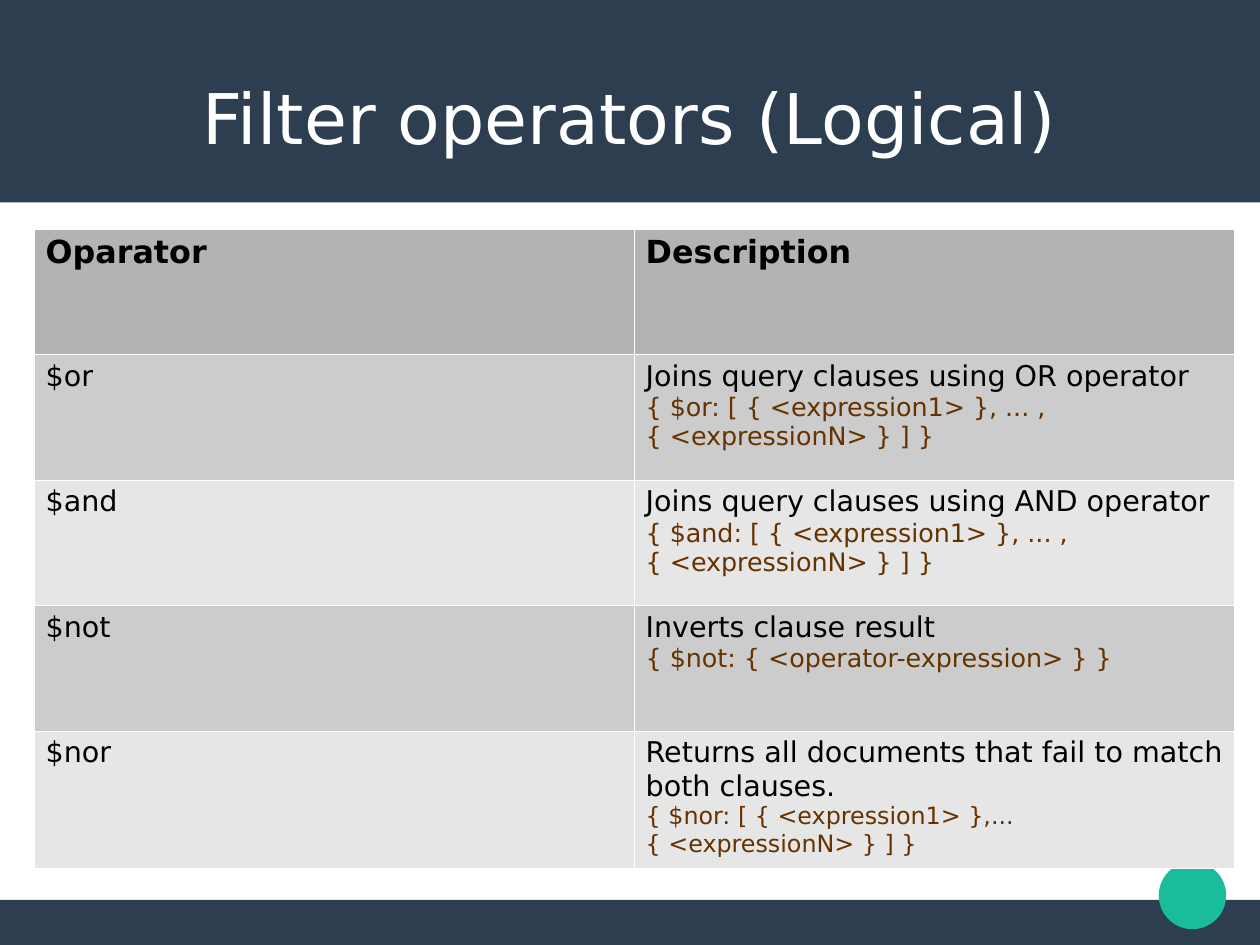
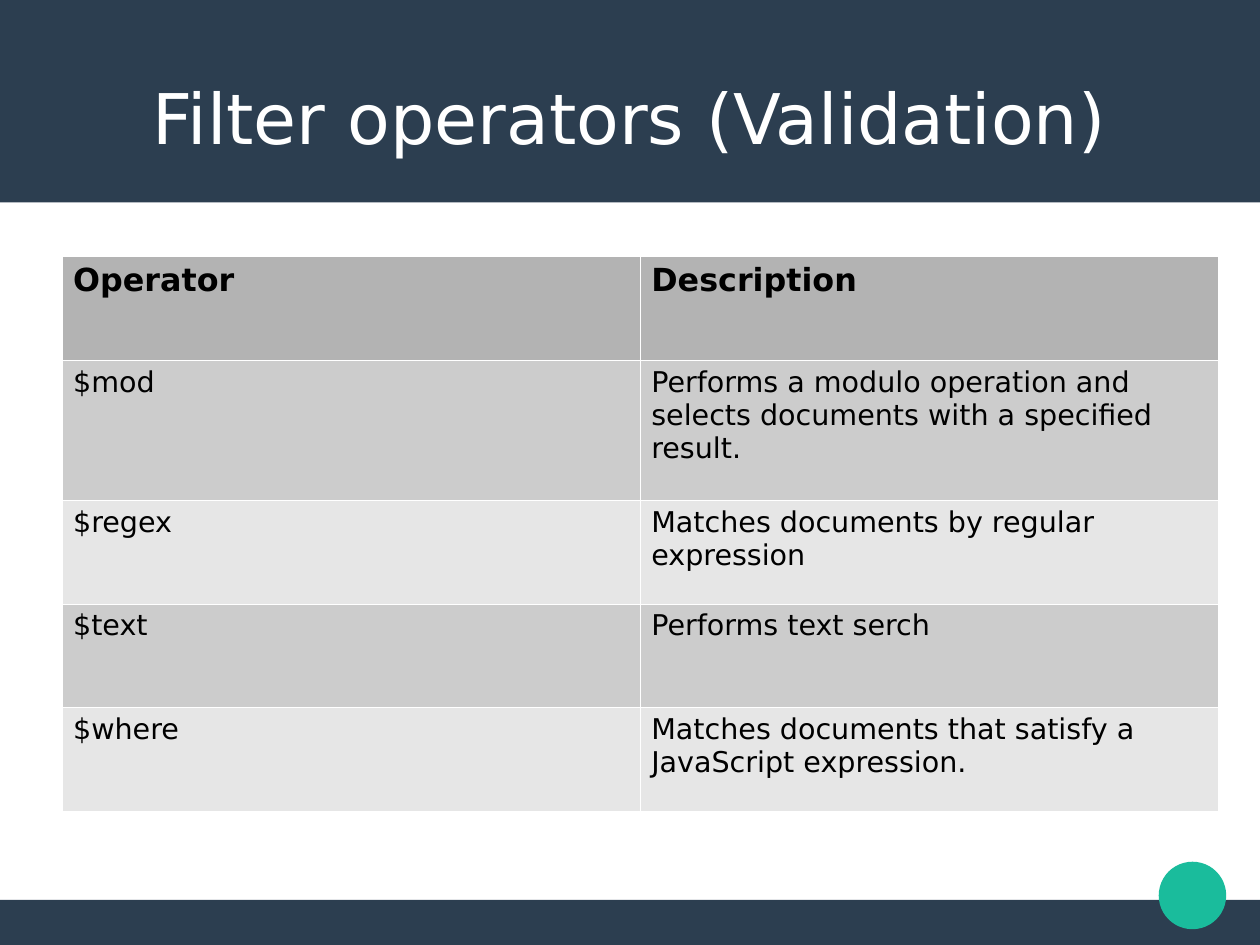
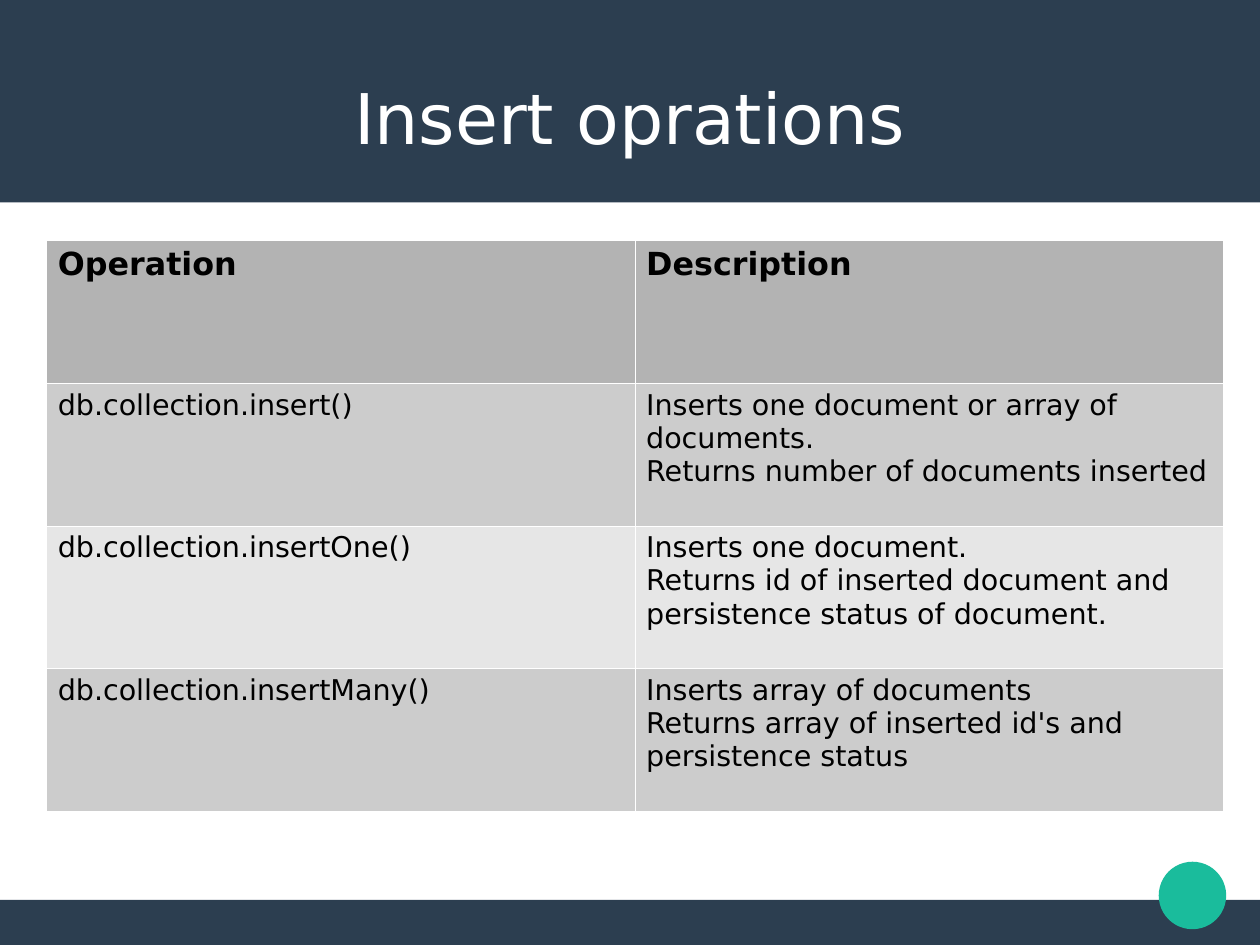
from lxml import etree
from pptx import Presentation
from pptx.dml.color import RGBColor
from pptx.enum.shapes import MSO_SHAPE
from pptx.enum.text import MSO_ANCHOR, PP_ALIGN
from pptx.oxml.ns import qn
from pptx.util import Cm, Pt

RECT, OVAL = MSO_SHAPE.RECTANGLE, MSO_SHAPE.OVAL
MIDDLE, CENTER = MSO_ANCHOR.MIDDLE, PP_ALIGN.CENTER

FONT = "DejaVu Sans"
NAVY, TEAL, WHITE, BLACK, BROWN = "2C3E50", "1ABC9C", "FFFFFF", "000000", "663300"
HEAD_FILL, ROW_FILLS = "B3B3B3", ("CCCCCC", "E6E6E6")
BORDER_WIDTH = Pt(0.06)

# Text styles: size, bold, colour
TITLE = (44, False, WHITE)
HEAD = (20, True, BLACK)
BODY = (18, False, BLACK)
CODE = (16, False, BROWN)
SMALL_CODE = (15, False, BROWN)

# Decoration of every slide: shape, left, top, width, height, colour
DECORATION = [
    (RECT, 0, 20, 28, 1, NAVY),
    (RECT, 0, 0, 28, 4.5, NAVY),
    (OVAL, 25.75, 19.15, 1.5, 1.5, TEAL),
]

# Title, table place (left, top, width), row heights, header, rows.
# A row is a name and the styled lines of its description.
SLIDES = [
    ("Filter operators (Logical)", (0.76, 5.08, 26.67), [2.79] * 5,
     ("Oparator", "Description"), [
         ("$or", [("Joins query clauses using OR operator", BODY),
                  ("{ $or: [ { <expression1> }, ... , { <expressionN> } ] }", CODE)]),
         ("$and", [("Joins query clauses using AND operator", BODY),
                   ("{ $and: [ { <expression1> }, ... , { <expressionN> } ] }", CODE)]),
         ("$not", [("Inverts clause result", BODY),
                   ("{ $not: { <operator-expression> } }", CODE)]),
         ("$nor", [("Returns all documents that fail to match both clauses.", BODY),
                   ("{ $nor: [ { <expression1> },... { <expressionN> } ] }", SMALL_CODE)]),
     ]),
    ("Filter operators (Validation)", (1.37, 5.7, 25.7), [2.3, 3.12, 2.3, 2.3, 2.3],
     ("Operator", "Description"), [
         ("$mod", [("Performs a modulo operation and selects documents "
                    "with a specified result.", BODY)]),
         ("$regex", [("Matches documents by regular expression", BODY)]),
         ("$text", [("Performs text serch", BODY)]),
         ("$where", [("Matches documents that satisfy a JavaScript expression.", BODY)]),
     ]),
    ("Insert oprations", (1.03, 5.34, 26.15), [3.17] * 4,
     ("Operation", "Description"), [
         ("db.collection.insert()",
          [("Inserts one document or array of documents.", BODY),
           ("Returns number of documents inserted", BODY)]),
         ("db.collection.insertOne()",
          [("Inserts one document.", BODY),
           ("Returns id of inserted document and persistence status of document.", BODY)]),
         ("db.collection.insertMany()",
          [("Inserts array of documents", BODY),
           ("Returns array of inserted id's and persistence status", BODY)]),
     ]),
]


def paint(fill, colour):
    fill.solid()
    fill.fore_color.rgb = RGBColor.from_string(colour)


def write(tf, lines):
    """Fill a text frame with (text, style) paragraphs."""
    for i, (text, (size, bold, colour)) in enumerate(lines):
        p = tf.add_paragraph() if i else tf.paragraphs[0]
        p.text = text
        p.font.name, p.font.size, p.font.bold = FONT, Pt(size), bold
        p.font.color.rgb = RGBColor.from_string(colour)


prs = Presentation()
prs.slide_width, prs.slide_height = Cm(28), Cm(21)

for title, (left, top, width), heights, header, rows in SLIDES:
    s = prs.slides.add_slide(prs.slide_layouts[6])

    for kind, *box, colour in DECORATION:
        sp = s.shapes.add_shape(kind, *map(Cm, box))
        sp.shadow.inherit = False
        paint(sp.fill, colour)
        sp.line.fill.background()

    tf = s.shapes.add_textbox(Cm(1.4), Cm(0.84), Cm(25.2), Cm(3.5)).text_frame
    tf.word_wrap = True
    tf.vertical_anchor = MIDDLE
    tf.margin_left = tf.margin_top = tf.margin_right = tf.margin_bottom = 0
    write(tf, [(title, TITLE)])
    tf.paragraphs[0].alignment = CENTER

    table = s.shapes.add_table(len(heights), 2, Cm(left), Cm(top),
                               Cm(width), Cm(sum(heights))).table
    table.horz_banding = False
    for row, height in zip(table.rows, heights):
        row.height = Cm(height)

    cells = [[[(text, HEAD)] for text in header]]
    cells += [[[(name, BODY)], lines] for name, lines in rows]
    for i, row in enumerate(cells):
        for j, lines in enumerate(row):
            cell = table.cell(i, j)
            write(cell.text_frame, lines)
            tcPr = cell._tc.get_or_add_tcPr()
            for side in ("a:lnL", "a:lnR", "a:lnT", "a:lnB"):
                ln = etree.SubElement(tcPr, qn(side), w=str(BORDER_WIDTH))
                solid = etree.SubElement(ln, qn("a:solidFill"))
                etree.SubElement(solid, qn("a:srgbClr"), val=WHITE)
            paint(cell.fill, ROW_FILLS[(i - 1) % 2] if i else HEAD_FILL)

prs.save("out.pptx")
